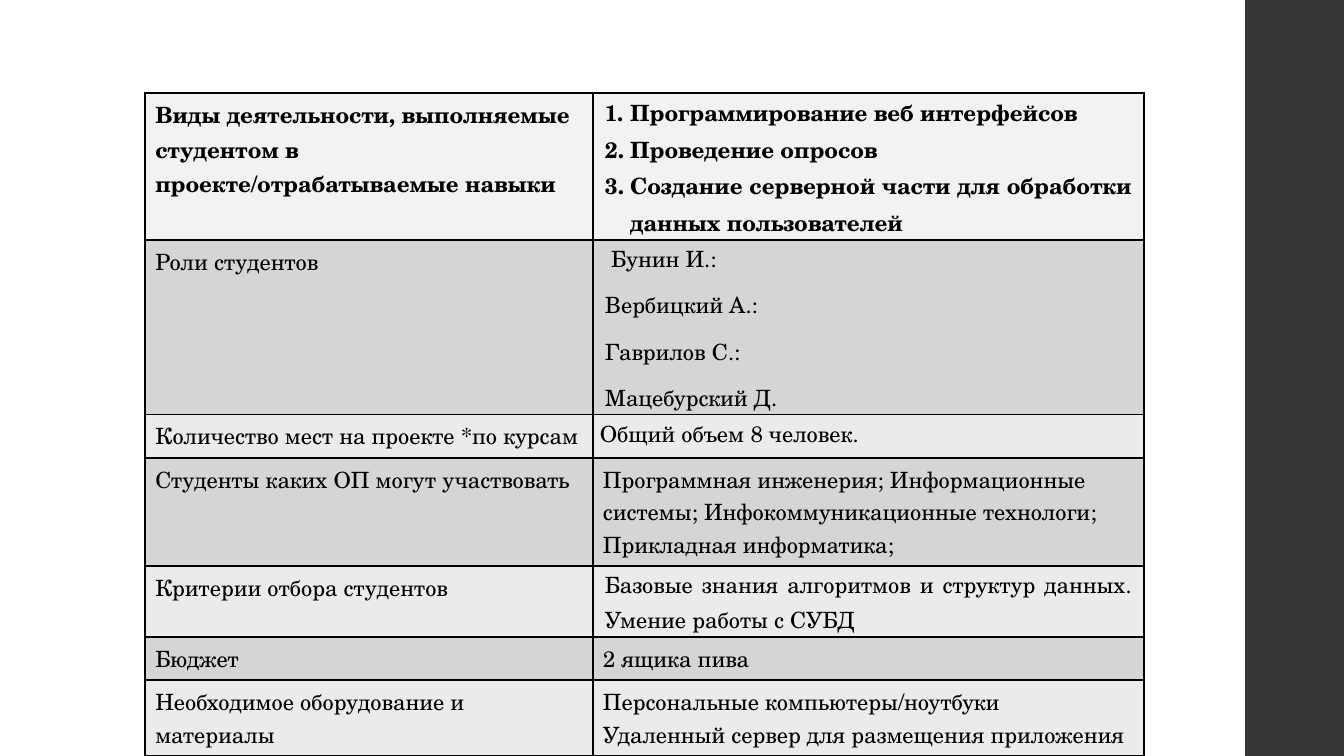
"""Build the slide with the table of student project conditions."""
import dataclasses

import lxml.etree
import pptx
import pptx.dml.color
import pptx.enum.shapes
import pptx.enum.text
import pptx.oxml.ns
import pptx.util


@dataclasses.dataclass(frozen=True)
class Theme:
    """Hold the colours, type and spacing of the slide."""
    font: str = "TeX Gyre Schola"
    size: float = 16
    text: str = "000000"
    border: str = "000000"
    border_width: float = 1.5
    sidebar: str = "353537"
    header: str = "F2F2F2"
    bands: tuple = ("EBEBEB", "D5D5D6")
    line_spacing: float = 1.07
    space_after: float = 8
    indent: float = 0.25


@dataclasses.dataclass(frozen=True)
class Entry:
    """Describe the text of one cell and its layout."""
    lines: tuple
    inset: float = None
    numbered: bool = False


class SlideBuilder:
    """Draw styled elements on the current slide, in shares of its size."""

    def __init__(self, presentation, theme):
        """Add a blank slide and keep its style."""
        self.presentation = presentation
        self.theme = theme
        self.slide = presentation.slides.add_slide(presentation.slide_layouts[6])

    def box(self, left, top, width, height):
        """Turn shares of the slide into lengths."""
        across = self.presentation.slide_width
        down = self.presentation.slide_height
        return [round(share * length) for share, length in
                ((left, across), (top, down), (width, across), (height, down))]

    def color(self, value):
        """Return a colour object for a hexadecimal value."""
        return pptx.dml.color.RGBColor.from_string(value)

    def paint(self, target, value):
        """Give a shape or a cell a solid fill."""
        target.fill.solid()
        target.fill.fore_color.rgb = self.color(value)

    def rectangle(self, area, value):
        """Add a plain filled rectangle."""
        shape = self.slide.shapes.add_shape(
            pptx.enum.shapes.MSO_SHAPE.RECTANGLE, *self.box(*area))
        shape.shadow.inherit = False
        self.paint(shape, value)
        shape.line.fill.background()

    def borders(self, cell):
        """Draw the four borders of a cell."""
        properties = cell._tc.get_or_add_tcPr()
        width = str(int(pptx.util.Pt(self.theme.border_width)))
        for side in ("a:lnL", "a:lnR", "a:lnT", "a:lnB"):
            line = lxml.etree.SubElement(properties, pptx.oxml.ns.qn(side), w=width)
            fill = lxml.etree.SubElement(line, pptx.oxml.ns.qn("a:solidFill"))
            lxml.etree.SubElement(
                fill, pptx.oxml.ns.qn("a:srgbClr"), val=self.theme.border)

    def number(self, paragraph):
        """Number a paragraph with a hanging indent."""
        properties = paragraph._p.get_or_add_pPr()
        indent = int(pptx.util.Inches(self.theme.indent))
        properties.set("marL", str(indent))
        properties.set("indent", str(-indent))
        lxml.etree.SubElement(
            properties, pptx.oxml.ns.qn("a:buAutoNum"), type="arabicPeriod")

    def fill_text(self, cell, entry, bold):
        """Put an entry into a cell, justified when it has its own inset."""
        if entry.inset is not None:
            cell.margin_left = cell.margin_right = pptx.util.Inches(entry.inset)
            cell.margin_top = cell.margin_bottom = 0
        frame = cell.text_frame
        for index, line in enumerate(entry.lines):
            paragraph = frame.add_paragraph() if index else frame.paragraphs[0]
            if entry.inset is not None:
                paragraph.alignment = pptx.enum.text.PP_ALIGN.JUSTIFY
                paragraph.line_spacing = self.theme.line_spacing
                if not entry.numbered:
                    paragraph.space_after = pptx.util.Pt(self.theme.space_after)
            if entry.numbered:
                self.number(paragraph)
            run = paragraph.add_run()
            run.text = line
            run.font.name = self.theme.font
            run.font.size = pptx.util.Pt(self.theme.size)
            run.font.bold = bold
            run.font.color.rgb = self.color(self.theme.text)

    def table(self, area, columns, rows):
        """Add a banded table from column weights and (weight, entries) rows."""
        left, top, width, height = self.box(*area)
        table = self.slide.shapes.add_table(
            len(rows), len(columns), left, top, width, height).table
        table.horz_banding = False
        for column, weight in zip(table.columns, columns):
            column.width = round(width * weight / sum(columns))
        total = sum(weight for weight, _ in rows)
        for index, (weight, entries) in enumerate(rows):
            table.rows[index].height = round(height * weight / total)
            band = self.theme.bands[index % 2] if index else self.theme.header
            for cell, entry in zip(table.rows[index].cells, entries):
                self.borders(cell)
                self.paint(cell, band)
                self.fill_text(cell, entry, bold=index == 0)


CONDITIONS = (
    (1.46, (
        Entry(("Виды деятельности, выполняемые студентом в "
               "проекте/отрабатываемые навыки",)),
        Entry(("Программирование веб интерфейсов",
               "Проведение опросов",
               "Создание серверной части для обработки данных пользователей"),
              inset=0.12, numbered=True))),
    (1.73, (
        Entry(("Роли студентов",)),
        Entry((" Бунин И.:", "Вербицкий А.:", "Гаврилов С.:", "Мацебурский Д."),
              inset=0.12))),
    (0.43, (
        Entry(("Количество мест на проекте *по курсам",)),
        Entry(("Общий объем 8 человек.",), inset=0.07))),
    (1.07, (
        Entry(("Студенты каких ОП могут участвовать",)),
        Entry(("Программная инженерия; Информационные системы; "
               "Инфокоммуникационные технологи; Прикладная информатика;",)))),
    (0.70, (
        Entry(("Критерии отбора студентов",)),
        Entry(("Базовые знания алгоритмов и структур данных. "
               "Умение работы с СУБД",), inset=0.12))),
    (0.43, (
        Entry(("Бюджет",)),
        Entry(("2 ящика пива",)))),
    (0.75, (
        Entry(("Необходимое оборудование и материалы",)),
        Entry(("Персональные компьютеры/ноутбуки",
               "Удаленный сервер для размещения приложения")))),
)


def main():
    """Build and save the presentation."""
    width, height = 13.33, 7.5
    presentation = pptx.Presentation()
    presentation.slide_width = pptx.util.Inches(width)
    presentation.slide_height = pptx.util.Inches(height)
    theme = Theme()
    builder = SlideBuilder(presentation, theme)
    builder.rectangle((12.35 / width, 0, 0.98 / width, 1), theme.sidebar)
    builder.table((1.44 / width, 0.92 / height, 9.91 / width, 6.57 / height),
                  (4.44, 5.47), CONDITIONS)
    presentation.save("out.pptx")


main()
